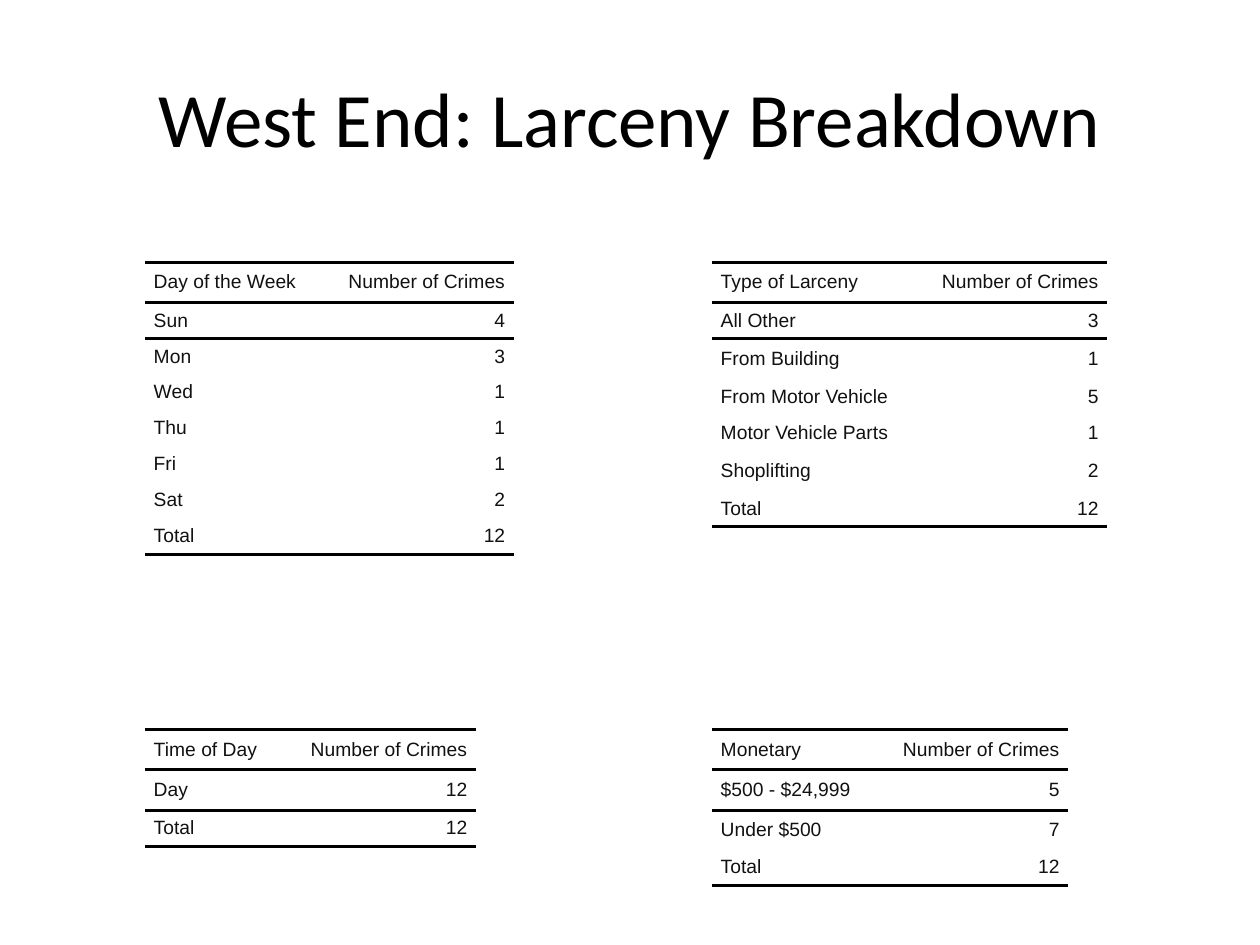
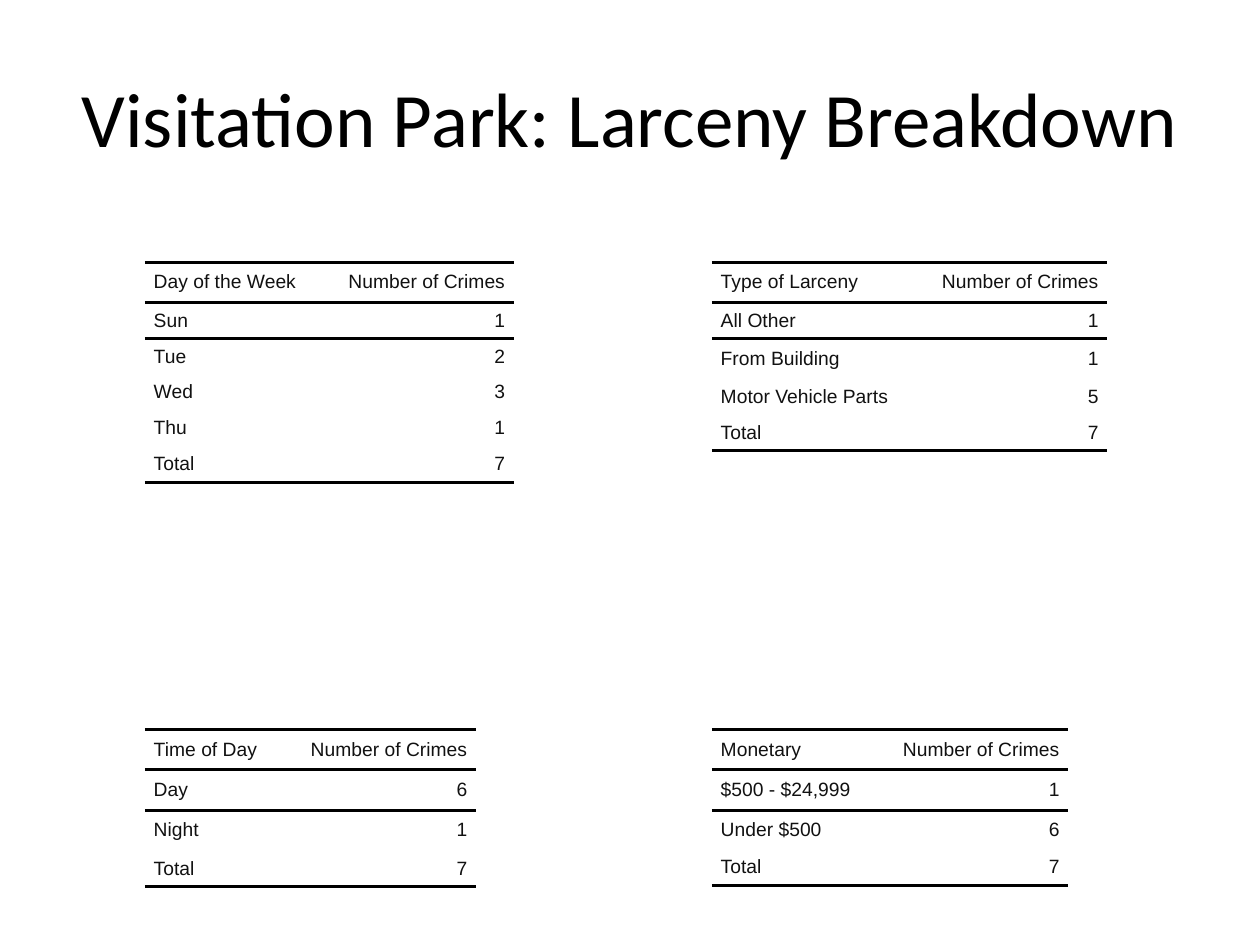
from lxml.etree import SubElement
from pptx import Presentation
from pptx.dml.color import RGBColor
from pptx.enum.text import MSO_ANCHOR, PP_ALIGN
from pptx.oxml.ns import qn
from pptx.util import Inches, Pt

BLACK = RGBColor(0x00, 0x00, 0x00)
TABLE_TEXT = RGBColor(0x11, 0x11, 0x11)
TITLE_FONT = "Calibri"
TABLE_FONT = "Arial"
NO_STYLE_NO_GRID = "{2D5ABB26-0587-4C30-8999-92F81FD0307C}"

LEFT_COLUMN, RIGHT_COLUMN = 1.15, 5.65
TOP_ROW, BOTTOM_ROW = 2.08, 5.79
COUNT_WIDTH = 1.52
CELL_INDENT = 0.07
HEADER_HEIGHT = 0.32
ROW_HEIGHT = 2 / 7  # seven rows fill two inches
SPECIAL_HEIGHTS = {
    "From Building": 0.32,
    "Shoplifting": 0.32,
    "Day": 0.32,
    "Night": 0.32,
    "$500 - $24,999": 0.32,
    "Under $500": 0.31,
}

# heading: (left, top, width of the label column)
TABLE_PLACES = {
    "Day of the Week": (LEFT_COLUMN, TOP_ROW, 1.41),
    "Time of Day": (LEFT_COLUMN, BOTTOM_ROW, 1.11),
    "Type of Larceny": (RIGHT_COLUMN, TOP_ROW, 1.62),
    "Monetary": (RIGHT_COLUMN, BOTTOM_ROW, 1.31),
}

NEIGHBORHOODS = {
    "West End": {
        "Day of the Week": {"Sun": 4, "Mon": 3, "Wed": 1, "Thu": 1, "Fri": 1, "Sat": 2},
        "Time of Day": {"Day": 12},
        "Type of Larceny": {
            "All Other": 3,
            "From Building": 1,
            "From Motor Vehicle": 5,
            "Motor Vehicle Parts": 1,
            "Shoplifting": 2,
        },
        "Monetary": {"$500 - $24,999": 5, "Under $500": 7},
    },
    "Visitation Park": {
        "Day of the Week": {"Sun": 1, "Tue": 2, "Wed": 3, "Thu": 1},
        "Time of Day": {"Day": 6, "Night": 1},
        "Type of Larceny": {"All Other": 1, "From Building": 1, "Motor Vehicle Parts": 5},
        "Monetary": {"$500 - $24,999": 1, "Under $500": 6},
    },
}


def format_text(paragraph, font_name, size, color, alignment):
    paragraph.alignment = alignment
    for span in paragraph.runs:
        span.font.name = font_name
        span.font.size = Pt(size)
        span.font.color.rgb = color


def add_title(page, text):
    box = page.shapes.add_textbox(Inches(0.5), Inches(0.3), Inches(9), Inches(1.25))
    frame = box.text_frame
    frame.word_wrap = True
    frame.vertical_anchor = MSO_ANCHOR.MIDDLE
    frame.text = text
    format_text(frame.paragraphs[0], TITLE_FONT, 44, BLACK, PP_ALIGN.CENTER)


def add_rule(cell, side):
    """Draw a black cell border; side is "T" (top) or "B" (bottom)."""
    properties = cell._tc.get_or_add_tcPr()
    line = SubElement(properties, qn(f"a:ln{side}"), w=str(Pt(2)))
    fill = SubElement(line, qn("a:solidFill"))
    SubElement(fill, qn("a:srgbClr"), val=str(BLACK))


def fill_cell(cell, text, alignment, sides):
    cell.margin_left = cell.margin_right = 0
    cell.margin_top = cell.margin_bottom = 0
    cell.vertical_anchor = MSO_ANCHOR.MIDDLE
    for side in sides:
        add_rule(cell, side)
    cell.fill.background()
    cell.text_frame.text = text
    para = cell.text_frame.paragraphs[0]
    format_text(para, TABLE_FONT, 11, TABLE_TEXT, alignment)
    para_properties = para._p.get_or_add_pPr()
    for margin in ("marL", "marR"):
        para_properties.set(margin, str(Inches(CELL_INDENT)))


def add_crime_table(page, heading, counts):
    """Add a ruled table of counts with a header and a computed total."""
    left, top, label_width = TABLE_PLACES[heading]
    rows = [(heading, "Number of Crimes"), *counts.items(), ("Total", sum(counts.values()))]
    heights = [HEADER_HEIGHT] + [SPECIAL_HEIGHTS.get(label, ROW_HEIGHT) for label, _ in rows[1:]]
    frame = page.shapes.add_table(
        len(rows), 2, Inches(left), Inches(top),
        Inches(label_width + COUNT_WIDTH), Inches(sum(heights)),
    )
    table = frame.table
    table.first_row = table.horz_banding = False
    table._tbl.tblPr.find(qn("a:tableStyleId")).text = NO_STYLE_NO_GRID
    table.columns[0].width = Inches(label_width)
    table.columns[1].width = Inches(COUNT_WIDTH)

    rules = {0: "TB", 1: "T", len(rows) - 1: "B"}
    for index, (label, count) in enumerate(rows):
        table.rows[index].height = Inches(heights[index])
        sides = rules.get(index, "")
        fill_cell(table.cell(index, 0), label, PP_ALIGN.LEFT, sides)
        fill_cell(table.cell(index, 1), str(count), PP_ALIGN.RIGHT, sides)


def main():
    deck = Presentation()
    deck.slide_width, deck.slide_height = Inches(10), Inches(7.5)
    for neighborhood, breakdown in NEIGHBORHOODS.items():
        page = deck.slides.add_slide(deck.slide_layouts[6])
        add_title(page, f"{neighborhood}: Larceny Breakdown")
        for heading, counts in breakdown.items():
            add_crime_table(page, heading, counts)
    deck.save("out.pptx")


if __name__ == "__main__":
    main()
